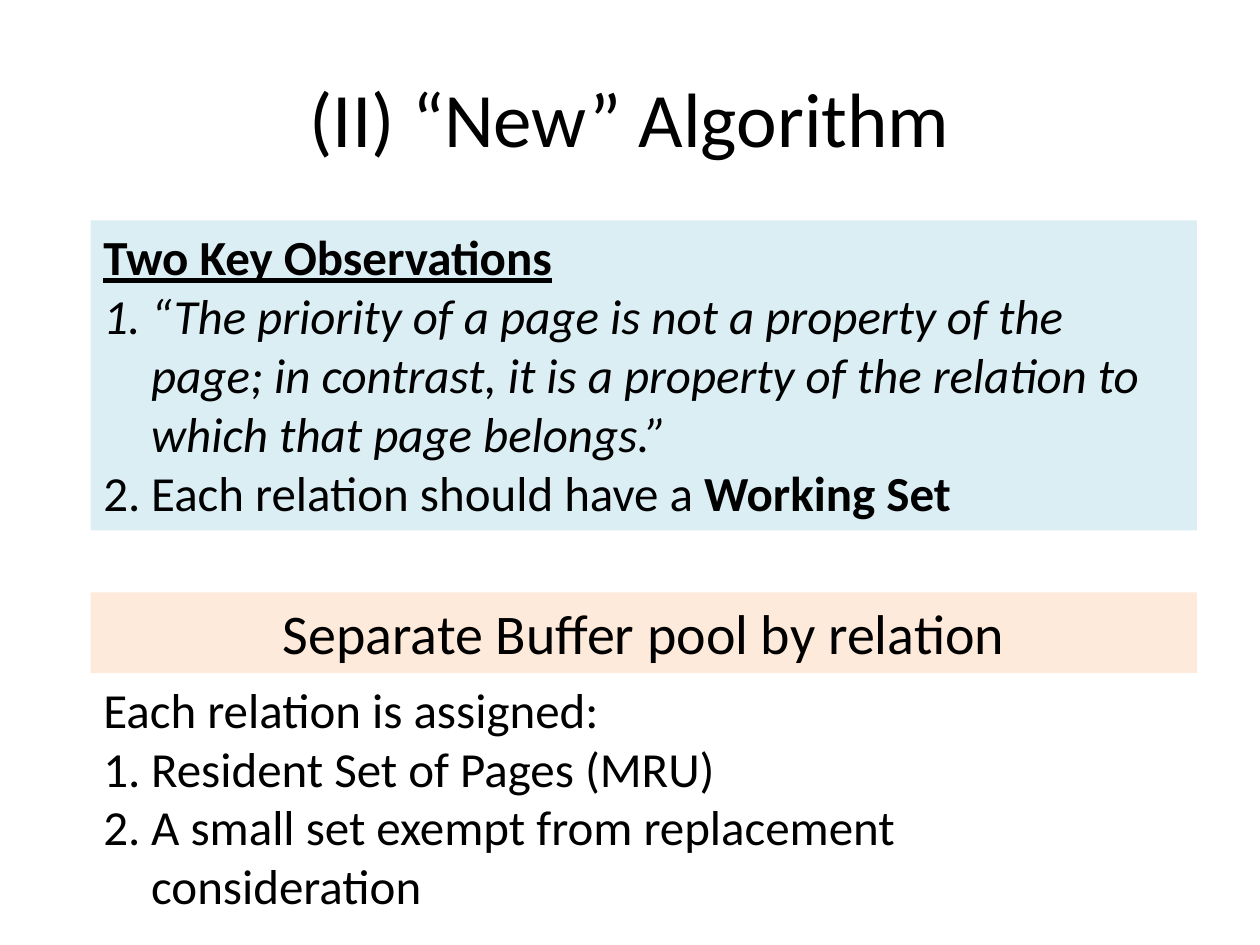
from pptx import Presentation, util as u
from pptx.dml.color import RGBColor
from pptx.enum import shapes, text
from pptx.oxml.ns import qn
from lxml import etree

INK = {"text": "000000", "blue": "DBEEF4", "peach": "FDEADA"}
FONT = "Calibri"
WIDE, HIGH = 10, 7.5
LEFT, SPAN = 0.072, 0.878


def write(par, words, size=28, bold=False, italic=False, under=False):
    run = par.add_run()
    run.text = words
    font = run.font
    font.name, font.size = FONT, u.Pt(size)
    font.bold, font.italic, font.underline = bold, italic, under
    font.color.rgb = RGBColor.from_string(INK["text"])


class Deck:
    def __init__(self):
        self.file = Presentation()
        self.file.slide_width = u.Inches(WIDE)
        self.file.slide_height = u.Inches(HIGH)
        self.page = self.file.slides.add_slide(self.file.slide_layouts[3])

    def area(self, x, y, w, h):
        return (u.Inches(x * WIDE), u.Inches(y * HIGH),
                u.Inches(w * WIDE), u.Inches(h * HIGH))

    def place(self, item, box):
        item.left, item.top, item.width, item.height = self.area(*box)

    def paint(self, item, tint):
        item.fill.solid()
        item.fill.fore_color.rgb = RGBColor.from_string(INK[tint])

    def title(self, words, box):
        item = self.page.shapes.title
        self.place(item, box)
        par = item.text_frame.paragraphs[0]
        par.alignment = text.PP_ALIGN.CENTER
        write(par, words, size=44)

    def list(self, slot, box, rows, tint=None):
        item = self.page.placeholders[slot]
        self.place(item, box)
        if tint:
            self.paint(item, tint)
        frame = item.text_frame
        frame.auto_size = text.MSO_AUTO_SIZE.NONE
        frame.vertical_anchor = text.MSO_ANCHOR.TOP
        for i, (count, runs) in enumerate(rows):
            par = frame.add_paragraph() if i else frame.paragraphs[0]
            par.space_before = u.Pt(0)
            self.mark(par, count)
            for words, style in runs:
                write(par, words, **style)

    def mark(self, par, count):
        prop = par._p.get_or_add_pPr()
        dent = u.Inches(0.38) if count else 0
        prop.set("marL", str(dent))
        prop.set("indent", str(-dent))
        if count:
            etree.SubElement(prop, qn("a:buFont"), typeface="+mj-lt")
            etree.SubElement(prop, qn("a:buAutoNum"), type="arabicPeriod")
        else:
            etree.SubElement(prop, qn("a:buNone"))

    def band(self, words, box, tint):
        item = self.page.shapes.add_shape(
            shapes.MSO_SHAPE.RECTANGLE, *self.area(*box))
        item.shadow.inherit = False
        item.line.fill.background()
        self.paint(item, tint)
        frame = item.text_frame
        frame.word_wrap = True
        frame.vertical_anchor = text.MSO_ANCHOR.TOP
        par = frame.paragraphs[0]
        par.alignment = text.PP_ALIGN.CENTER
        write(par, words, size=32)


def main():
    deck = Deck()
    deck.title("(II) “New” Algorithm", (0.05, 0.04, 0.9, 1 / 6))
    deck.list(1, (LEFT, 0.2333, SPAN, 0.328), [
        (False, [("Two Key Observations", {"bold": True, "under": True})]),
        (True, [("“The priority of a page is not a property of the page; "
                 "in contrast, it is a property of the relation to which "
                 "that page belongs.”", {"italic": True})]),
        (True, [("Each relation should have a ", {}),
                ("Working Set", {"bold": True})]),
    ], tint="blue")
    deck.band("Separate Buffer pool by relation",
              (LEFT, 0.627, SPAN, 0.085), "peach")
    deck.list(2, (LEFT, 0.712, 0.763, 0.265), [
        (False, [("Each relation is assigned:", {})]),
        (True, [("Resident Set of Pages (MRU)", {})]),
        (True, [("A small set exempt from replacement consideration", {})]),
    ])
    deck.file.save("out.pptx")


if __name__ == "__main__":
    main()
